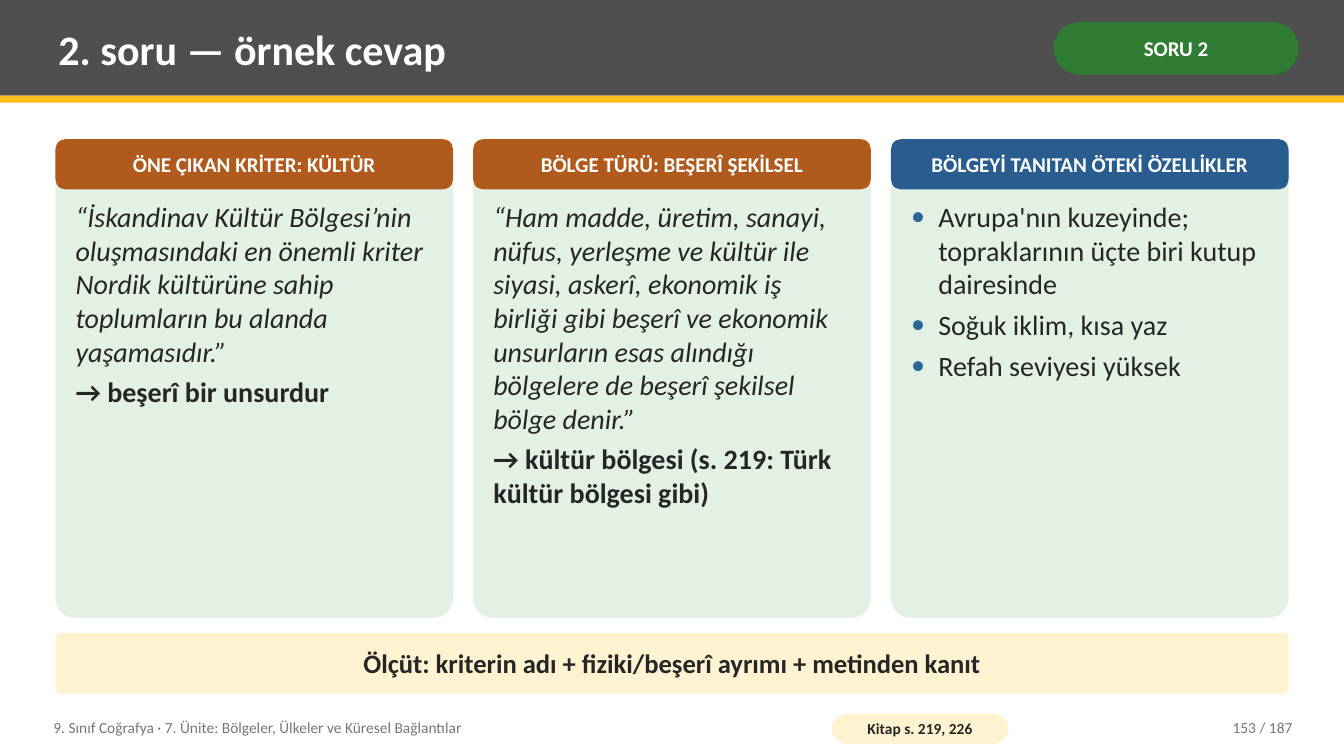
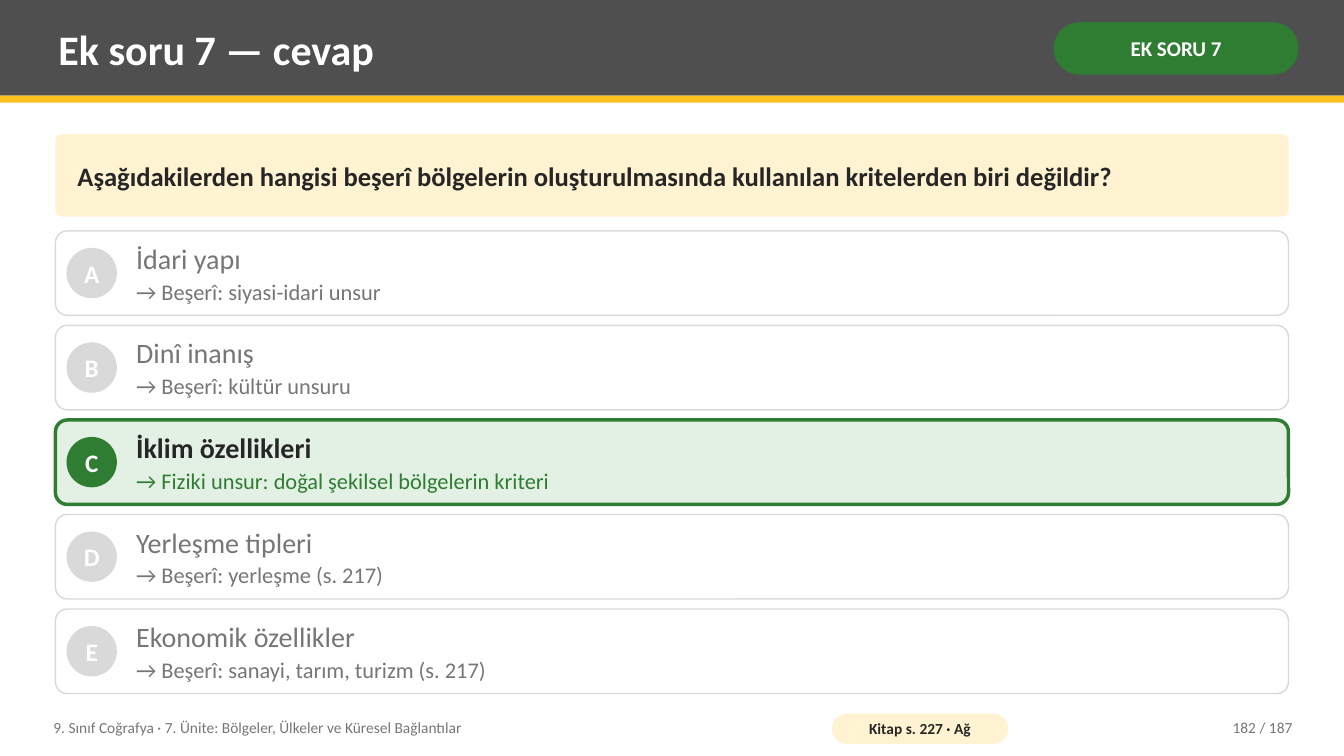
from dataclasses import dataclass

from lxml import etree
from pptx import Presentation
from pptx.dml.color import RGBColor
from pptx.enum import shapes, text
from pptx.oxml import ns
from pptx.util import Inches, Pt

# Shared look
FONT = "Calibri"
WHITE = RGBColor(0xFF, 0xFF, 0xFF)
CHARCOAL = RGBColor(0x4F, 0x4F, 0x4F)
AMBER = RGBColor(0xFC, 0xC0, 0x21)
CREAM = RGBColor(0xFF, 0xF3, 0xD1)
GREEN = RGBColor(0x2E, 0x7D, 0x32)
MINT = RGBColor(0xE3, 0xF1, 0xE4)
RUST = RGBColor(0xB0, 0x5A, 0x1E)
BLUE = RGBColor(0x2A, 0x5D, 0x8F)
BULLET_BLUE = RGBColor(0x2C, 0x66, 0x96)
INK = RGBColor(0x26, 0x26, 0x26)
GRAY = RGBColor(0x76, 0x76, 0x76)
SILVER = RGBColor(0xD9, 0xD9, 0xD9)

RECT = shapes.MSO_SHAPE.RECTANGLE
ROUNDED = shapes.MSO_SHAPE.ROUNDED_RECTANGLE
OVAL = shapes.MSO_SHAPE.OVAL
LEFT, CENTER, RIGHT = text.PP_ALIGN.LEFT, text.PP_ALIGN.CENTER, text.PP_ALIGN.RIGHT
TOP, MIDDLE = text.MSO_ANCHOR.TOP, text.MSO_ANCHOR.MIDDLE

PAGE_WIDTH, PAGE_HEIGHT = 13.33, 7.5
MARGIN, CONTENT_WIDTH = 0.55, 12.23
COURSE = "9. Sınıf Coğrafya · 7. Ünite: Bölgeler, Ülkeler ve Küresel Bağlantılar"
PAGE_TOTAL = 187


@dataclass(frozen=True)
class Area:
    left: float
    top: float
    width: float
    height: float

    def lengths(self) -> tuple:
        return tuple(Inches(n) for n in (self.left, self.top, self.width, self.height))


@dataclass(frozen=True)
class Line:
    words: str
    size: float
    color: RGBColor = INK
    bold: bool = False
    italic: bool = False
    after: float = 0
    align: text.PP_ALIGN = LEFT
    bullet: bool = False


@dataclass(frozen=True)
class Column:
    heading: str
    color: RGBColor
    lines: list[Line]


@dataclass(frozen=True)
class Option:
    letter: str
    answer: str
    reason: str
    correct: bool = False


# Drawing helpers
def add_bullet(para) -> None:
    props = para._p.get_or_add_pPr()
    props.set("marL", str(Inches(0.27)))
    props.set("indent", str(-Inches(0.27)))
    color = etree.SubElement(props, ns.qn("a:buClr"))
    etree.SubElement(color, ns.qn("a:srgbClr"), val=str(BULLET_BLUE))
    etree.SubElement(props, ns.qn("a:buFont"), typeface=FONT)
    etree.SubElement(props, ns.qn("a:buChar"), char="•")


def write(box, lines: list[Line], inset: tuple[float, float],
          anchor=MIDDLE, wrap: bool = True) -> None:
    frame = box.text_frame
    frame.word_wrap = wrap
    frame.vertical_anchor = anchor
    frame.margin_left = frame.margin_right = Inches(inset[0])
    frame.margin_top = frame.margin_bottom = Inches(inset[1])
    for index, line in enumerate(lines):
        para = frame.add_paragraph() if index else frame.paragraphs[0]
        if line.bullet:
            add_bullet(para)
        para.alignment = line.align
        para.space_after = Pt(line.after)
        span = para.add_run()
        span.text = line.words
        font = span.font
        font.name, font.size = FONT, Pt(line.size)
        font.bold, font.italic = line.bold, line.italic
        font.color.rgb = line.color


def add_text(page, area: Area, lines: list[Line], anchor=MIDDLE) -> None:
    write(page.shapes.add_textbox(*area.lengths()), lines, (0.08, 0.04), anchor)


def add_block(page, kind, area: Area, fill: RGBColor, radius: float | None = None,
              outline: tuple[RGBColor, float] | None = None):
    block = page.shapes.add_shape(kind, *area.lengths())
    block.shadow.inherit = False
    block.fill.solid()
    block.fill.fore_color.rgb = fill
    if radius is not None:
        block.adjustments[0] = radius
    if outline:
        block.line.color.rgb = outline[0]
        block.line.width = Pt(outline[1])
    else:
        block.line.fill.background()
    return block


def add_banner(page, area: Area, words: str, align, side: float) -> None:
    banner = add_block(page, ROUNDED, area, CREAM, 0.08)
    write(banner, [Line(words, 19, bold=True, align=align)], (side, 0.08))


# Header and footer shared by every page
def add_page(deck, title: str, tag: str, source: str, number: int):
    page = deck.slides.add_slide(deck.slide_layouts[6])
    add_block(page, RECT, Area(0, 0, PAGE_WIDTH, 0.95), CHARCOAL)
    add_block(page, RECT, Area(0, 0.95, PAGE_WIDTH, 0.07), AMBER)
    add_text(page, Area(0.5, 0.07, 9.75, 0.82), [Line(title, 30, WHITE, bold=True)])
    badge = add_block(page, ROUNDED, Area(10.45, 0.22, 2.43, 0.52), GREEN, 0.5)
    write(badge, [Line(tag, 15, WHITE, bold=True, align=CENTER)], (0.05, 0.02))

    add_text(page, Area(0.45, 7.04, 7.6, 0.36), [Line(COURSE, 11, GRAY)])
    pill = add_block(page, ROUNDED, Area(8.25, 7.08, 1.75, 0.3), CREAM, 0.5)
    write(pill, [Line(source, 11, bold=True, align=CENTER)], (0.04, 0))
    add_text(page, Area(11.3, 7.04, 1.6, 0.36),
             [Line(f"{number} / {PAGE_TOTAL}", 11, GRAY, align=RIGHT)])
    return page


# Three answer cards
def add_columns(page, columns: list[Column]) -> None:
    gap, top, height = 0.2, 1.38, 4.75
    width = (CONTENT_WIDTH - gap * (len(columns) - 1)) / len(columns)
    for index, column in enumerate(columns):
        left = MARGIN + index * (width + gap)
        add_block(page, ROUNDED, Area(left, top, width, height), MINT, 0.05)
        heading = add_block(page, ROUNDED, Area(left, top, width, 0.5), column.color, 0.2)
        write(heading, [Line(column.heading, 15, WHITE, bold=True, align=CENTER)], (0.06, 0))
        add_text(page, Area(left + 0.12, top + 0.56, width - 0.24, height - 0.62),
                 column.lines, TOP)


# Stacked answer choices
def add_options(page, options: list[Option]) -> None:
    top, bottom, gap, disc = 2.29, 6.88, 0.1, 0.5
    height = (bottom - top - gap * (len(options) - 1)) / len(options)
    for index, option in enumerate(options):
        y = top + index * (height + gap)
        accent = GREEN if option.correct else SILVER
        add_block(page, ROUNDED, Area(MARGIN, y, CONTENT_WIDTH, height),
                  MINT if option.correct else WHITE, 0.14,
                  (accent, 2.5 if option.correct else 1))
        circle = add_block(page, OVAL,
                           Area(MARGIN + 0.11, y + (height - disc) / 2, disc, disc), accent)
        write(circle, [Line(option.letter, 18, WHITE, bold=True, align=CENTER)],
              (0, 0), wrap=False)
        add_text(page, Area(1.27, y, 11.41, height), [
            Line(option.answer, 20, INK if option.correct else GRAY,
                 bold=option.correct, after=2),
            Line(option.reason, 16, GREEN if option.correct else GRAY),
        ])


def quote_lines(quote: str, conclusion: str) -> list[Line]:
    return [Line(quote, 20, italic=True, after=5), Line(conclusion, 20, bold=True)]


COLUMNS = [
    Column("ÖNE ÇIKAN KRİTER: KÜLTÜR", RUST, quote_lines(
        "“İskandinav Kültür Bölgesi’nin oluşmasındaki en önemli kriter Nordik "
        "kültürüne sahip toplumların bu alanda yaşamasıdır.”",
        "→ beşerî bir unsurdur")),
    Column("BÖLGE TÜRÜ: BEŞERÎ ŞEKİLSEL", RUST, quote_lines(
        "“Ham madde, üretim, sanayi, nüfus, yerleşme ve kültür ile siyasi, askerî, "
        "ekonomik iş birliği gibi beşerî ve ekonomik unsurların esas alındığı "
        "bölgelere de beşerî şekilsel bölge denir.”",
        "→ kültür bölgesi (s. 219: Türk kültür bölgesi gibi)")),
    Column("BÖLGEYİ TANITAN ÖTEKİ ÖZELLİKLER", BLUE, [
        Line(words, 20, after=5, bullet=True) for words in (
            "Avrupa'nın kuzeyinde; topraklarının üçte biri kutup dairesinde",
            "Soğuk iklim, kısa yaz",
            "Refah seviyesi yüksek")]),
]

OPTIONS = [
    Option("A", "İdari yapı", "→ Beşerî: siyasi-idari unsur"),
    Option("B", "Dinî inanış", "→ Beşerî: kültür unsuru"),
    Option("C", "İklim özellikleri", "→ Fiziki unsur: doğal şekilsel bölgelerin kriteri",
           correct=True),
    Option("D", "Yerleşme tipleri", "→ Beşerî: yerleşme (s. 217)"),
    Option("E", "Ekonomik özellikler", "→ Beşerî: sanayi, tarım, turizm (s. 217)"),
]


def main() -> None:
    deck = Presentation()
    deck.slide_width, deck.slide_height = Inches(PAGE_WIDTH), Inches(PAGE_HEIGHT)

    # Sample answer
    page = add_page(deck, "2. soru — örnek cevap", "SORU 2", "Kitap s. 219, 226", 153)
    add_columns(page, COLUMNS)
    add_banner(page, Area(MARGIN, 6.28, CONTENT_WIDTH, 0.6),
               "Ölçüt: kriterin adı + fiziki/beşerî ayrımı + metinden kanıt", CENTER, 0.14)

    # Multiple choice answer
    page = add_page(deck, "Ek soru 7 — cevap", "EK SORU 7", "Kitap s. 227 · Ağ", 182)
    add_banner(page, Area(MARGIN, 1.33, CONTENT_WIDTH, 0.82),
               "Aşağıdakilerden hangisi beşerî bölgelerin oluşturulmasında "
               "kullanılan kritelerden biri değildir?", LEFT, 0.2)
    add_options(page, OPTIONS)

    deck.save("out.pptx")


if __name__ == "__main__":
    main()
